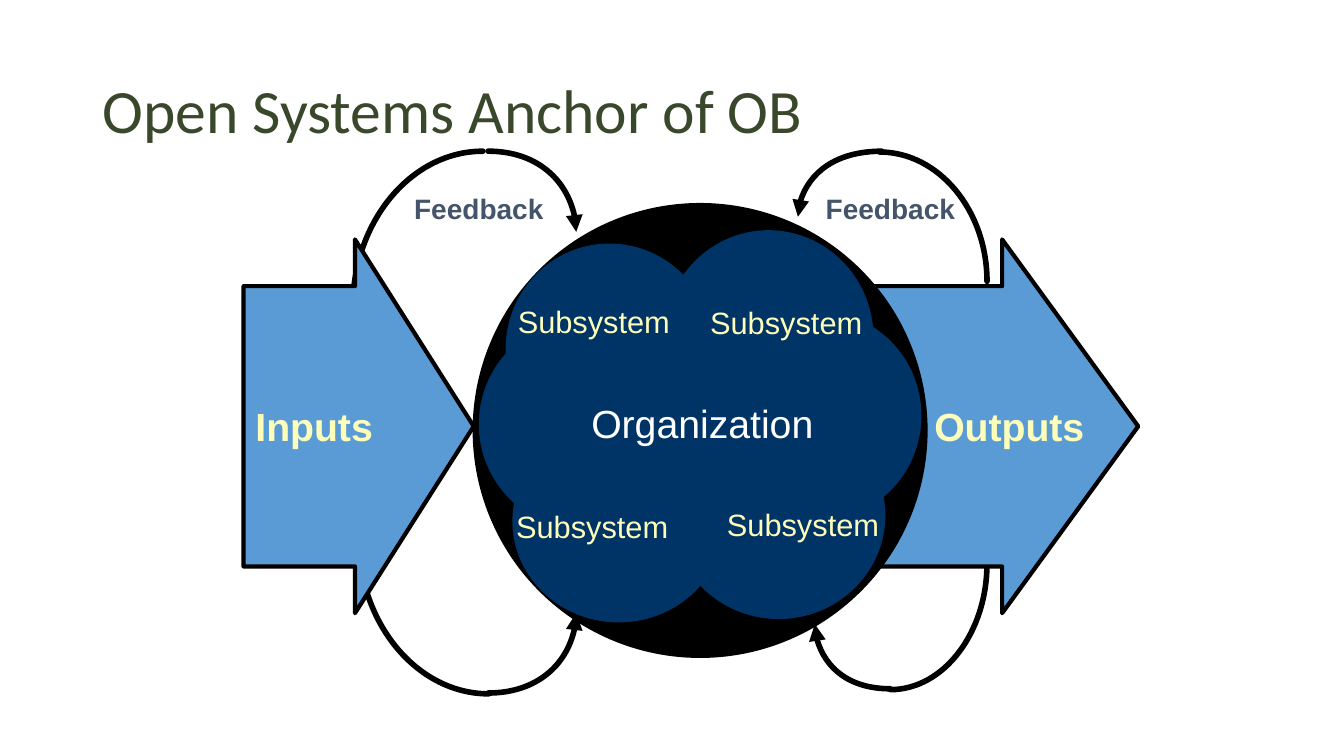
from lxml.etree import SubElement
from pptx import Presentation
from pptx.dml.color import RGBColor
from pptx.enum.shapes import MSO_SHAPE
from pptx.enum.text import MSO_ANCHOR, MSO_AUTO_SIZE, PP_ALIGN
from pptx.oxml.ns import qn
from pptx.util import Inches, Pt

COLS, ROWS = 160, 90
WIDE, HIGH = Inches(13.33), Inches(7.5)
BEND = 0.55
HUES = {
    "title": "39472B", "label": "44546A", "cream": "FCFEB9", "white": "FFFFFF",
    "black": "000000", "arrow": "5B9BD5", "navy": "003366",
}

# Centre and signed radii of each quarter curve
HEADED = [(58.1, 27.6, 10.5, -9.6), (58.1, 73, 10.5, 9.5),
          (106, 74.3, -9, 7.7), (105, 25.8, -10, -7.8)]
PLAIN = [(57.5, 36.6, -15.5, -18.6), (58.2, 64, -15.5, 18.6),
         (106, 67.1, 11.5, 15), (104.7, 33.5, 12.8, -15.4)]
LOBES = [(79, 45, 9, 11), (79, 27.4, 25, 25.6), (80, 49, 25.4, 24.7),
         (61, 50, 25.3, 24.1), (60.2, 29, 24.7, 25), (57, 38, 24.7, 25),
         (85, 37, 24.7, 25)]
PARTS = [(85, 36), (62.1, 35.8), (61.9, 60.2), (87, 60)]


def hue(name):
    return RGBColor.from_string(HUES[name])


def across(cols):
    return round(WIDE * cols / COLS)


def down(rows):
    return round(HIGH * rows / ROWS)


def place(x, y, w, h):
    return across(x), down(y), across(w), down(h)


def write(shape, text, size, color, font="Arial", bold=False,
          align=PP_ALIGN.CENTER, space=1.0):
    para = shape.text_frame.paragraphs[0]
    para.alignment = align
    para.line_spacing = space
    run = para.add_run()
    run.text = text
    run.font.name = font
    run.font.size = Pt(size)
    run.font.bold = bold
    run.font.color.rgb = hue(color)


def form(slide, kind, box, fill, line=0):
    shape = slide.shapes.add_shape(kind, *place(*box))
    shape.shadow.inherit = False
    shape.fill.solid()
    shape.fill.fore_color.rgb = hue(fill)
    if line:
        shape.line.color.rgb = hue("black")
        shape.line.width = Pt(line)
    else:
        shape.line.fill.background()
    frame = shape.text_frame
    frame.word_wrap = False
    frame.vertical_anchor = MSO_ANCHOR.MIDDLE
    return shape


def bend(shape, rx, ry):
    """Turn the one straight segment into a quarter ellipse."""
    step = next(shape.element.iter(qn("a:lnTo")))
    trail = step.getparent()
    end = step[0]
    x, y = int(end.get("x")), int(end.get("y"))
    trail.remove(step)
    cubic = SubElement(trail, qn("a:cubicBezTo"))
    for px, py in ((x + rx, y - ry * (1 - BEND)), (x + rx * BEND, y), (x, y)):
        SubElement(cubic, qn("a:pt"), x=str(round(px)), y=str(round(py)))


def curve(slide, x, y, rx, ry, head=False):
    """Draw a quarter ellipse from its side to its top or bottom."""
    pen = slide.shapes.build_freeform(across(x + rx), down(y))
    pen.add_line_segments([(across(x), down(y + ry))], close=False)
    shape = pen.convert_to_shape()
    bend(shape, across(rx), down(ry))
    shape.shadow.inherit = False
    shape.fill.background()
    shape.line.color.rgb = hue("black")
    shape.line.width = Pt(4)
    line = shape.line._get_or_add_ln()
    line.set("cap", "rnd")
    SubElement(line, qn("a:round"))
    if head:
        SubElement(line, qn("a:headEnd"), type="triangle")


def label(slide, box, text, size, color, bold=False):
    shape = slide.shapes.add_textbox(*place(*box))
    frame = shape.text_frame
    frame.word_wrap = True
    frame.margin_left = frame.margin_right = Inches(0.08)
    frame.margin_top = frame.margin_bottom = Inches(0.03)
    write(shape, text, size, color, bold=bold, space=0.85)


def arrow(slide, box, text, inset=0.1):
    shape = form(slide, MSO_SHAPE.RIGHT_ARROW, box, "arrow", 3)
    shape.adjustments[0] = 0.75
    shape.adjustments[1] = 0.516
    shape.text_frame.margin_left = Inches(inset)
    write(shape, text, 28, "cream", bold=True)


def head(slide, text):
    title = slide.shapes.title
    title.left, title.top, title.width, title.height = place(11, 4.8, 138, 17.4)
    title.text_frame.auto_size = MSO_AUTO_SIZE.NONE
    title.text_frame.vertical_anchor = MSO_ANCHOR.MIDDLE
    write(title, text, 44, "title", "Calibri", align=PP_ALIGN.LEFT, space=0.9)


def main():
    deck = Presentation()
    deck.slide_width, deck.slide_height = WIDE, HIGH
    slide = deck.slides.add_slide(deck.slide_layouts[5])
    head(slide, "Open Systems Anchor of OB")
    for arc in HEADED:
        curve(slide, *arc, head=True)
    for arc in PLAIN:
        curve(slide, *arc)
    for x in (45, 94):
        label(slide, (x, 23, 24, 4.2), "Feedback", 20, "label", True)
    arrow(slide, (104.1, 28.5, 31.4, 44.5), "Outputs", 1.17)
    form(slide, MSO_SHAPE.OVAL, (56.6, 24.5, 53.5, 53.5), "black", 4)
    arrow(slide, (29, 28.5, 27.4, 44.5), "Inputs")
    for lobe in LOBES:
        form(slide, MSO_SHAPE.OVAL, lobe, "navy")
    for x, y in PARTS:
        part = form(slide, MSO_SHAPE.RECTANGLE, (x, y, 17.2, 4.8), "navy")
        write(part, "Subsystem", 22, "cream")
    label(slide, (66, 48, 35.2, 5.5), "Organization", 28, "white")
    deck.save("out.pptx")


if __name__ == "__main__":
    main()
